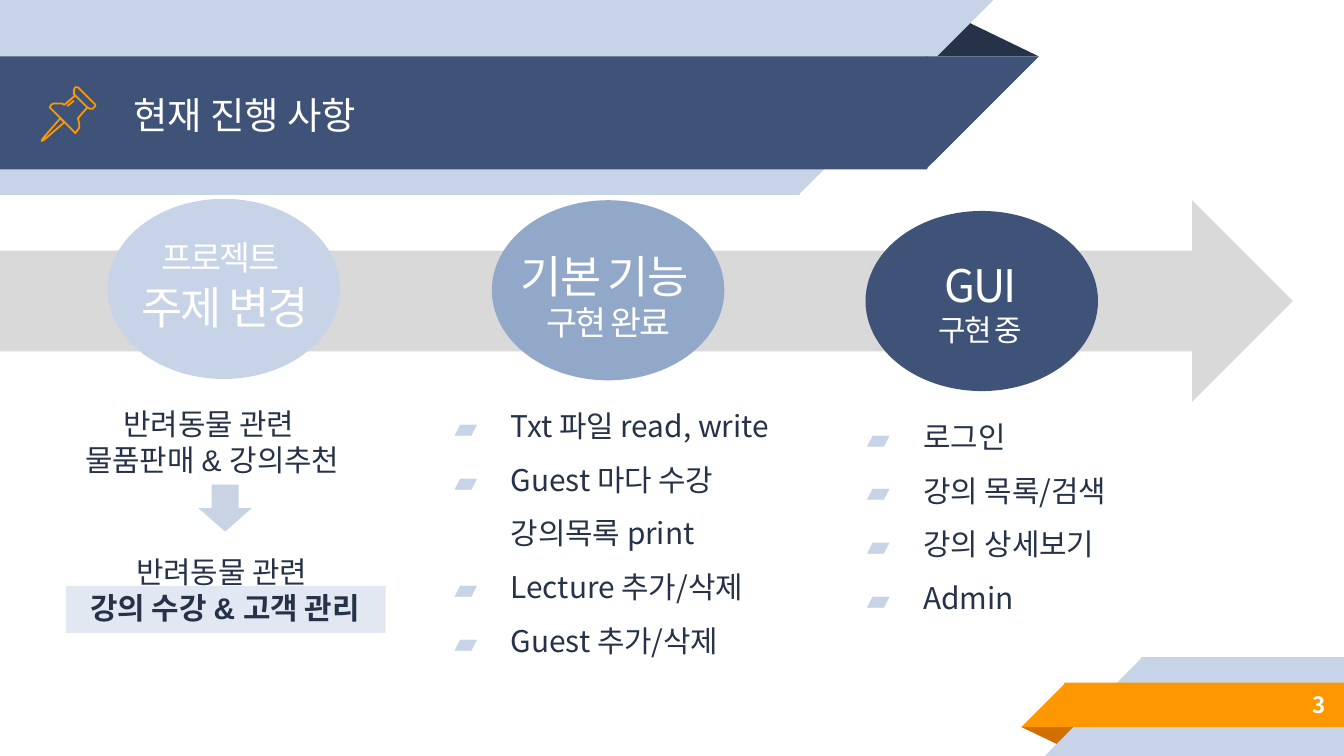
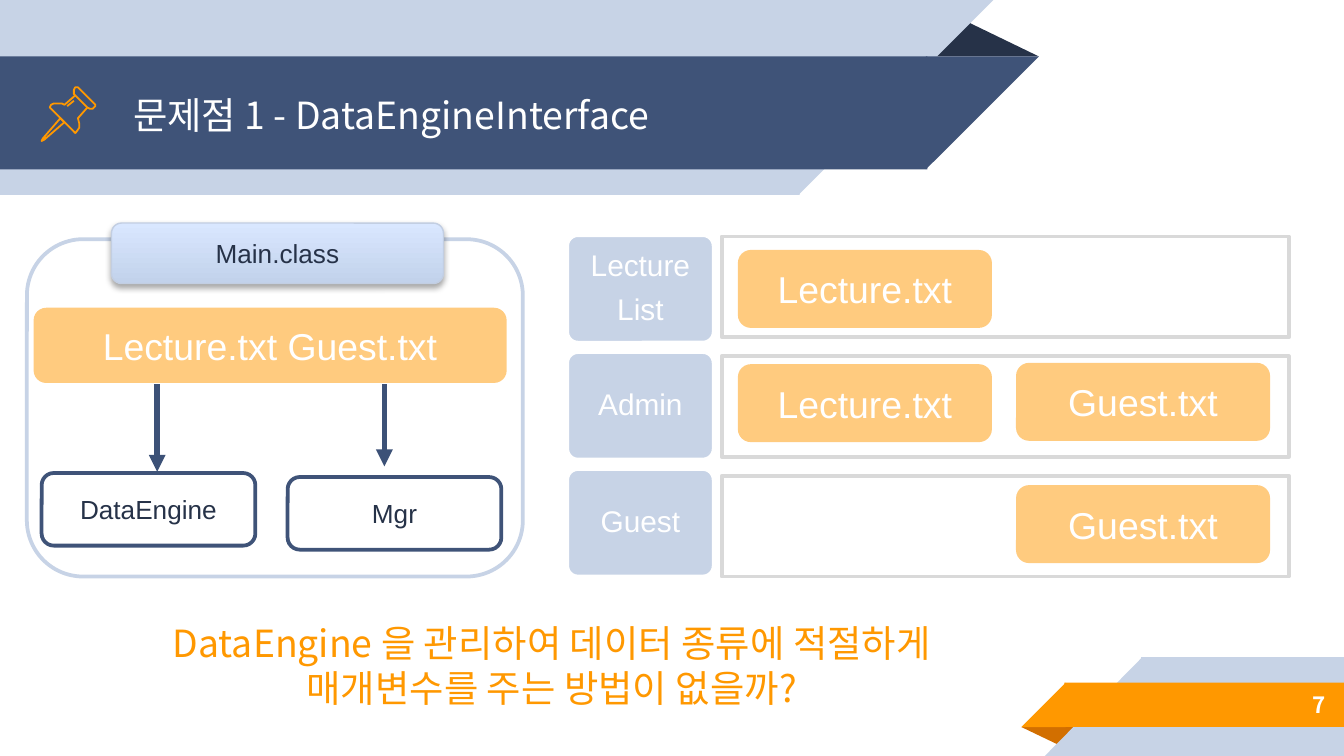
import lxml.etree
import pptx
import pptx.dml.color
import pptx.enum.shapes
import pptx.enum.text
import pptx.oxml
import pptx.oxml.ns
import pptx.util

Inches = pptx.util.Inches
Pt = pptx.util.Pt
SHAPE = pptx.enum.shapes.MSO_SHAPE
ALIGN = pptx.enum.text.PP_ALIGN
ANCHOR = pptx.enum.text.MSO_ANCHOR
qn = pptx.oxml.ns.qn
color = pptx.dml.color.RGBColor.from_string

KOREAN = "Noto Sans CJK KR"
LATIN = "Arial"
NAVY = "3F5378"
INK = "263248"
PALE = "C7D3E6"
STEEL = "92A8C8"
ORANGE = "FF9800"
RUST = "D26F00"
GREY = "D9D9D9"
WHITE = "FFFFFF"


def draw(slide, kind, box, fill=None, line=None, width=2, alpha=None):
    shape = slide.shapes.add_shape(kind, *map(Inches, box))
    shape.shadow.inherit = False
    if fill:
        shape.fill.solid()
        shape.fill.fore_color.rgb = color(fill)
    else:
        shape.fill.background()
    if alpha:
        tint = shape._element.spPr.find(qn("a:solidFill"))[0]
        lxml.etree.SubElement(tint, qn("a:alpha")).set("val", str(alpha * 1000))
    if line:
        shape.line.color.rgb = color(line)
        shape.line.width = Pt(width)
    else:
        shape.line.fill.background()
    return shape


def write(frame, paragraphs, ink, font=KOREAN, align=ALIGN.CENTER, anchor=ANCHOR.MIDDLE,
          inset=(0.1, 0.1), tracking=0, bold=False, leading=None, after=0, bullet=None):
    frame.word_wrap = True
    frame.auto_size = pptx.enum.text.MSO_AUTO_SIZE.NONE
    frame.vertical_anchor = anchor
    frame.margin_left = frame.margin_right = Inches(inset[0])
    frame.margin_top = frame.margin_bottom = Inches(inset[1])
    for index, runs in enumerate(paragraphs):
        paragraph = frame.add_paragraph() if index else frame.paragraphs[0]
        paragraph.alignment = align
        paragraph.line_spacing = leading
        paragraph.space_before = Pt(0)
        paragraph.space_after = Pt(after)
        for text, size in runs:
            run = paragraph.add_run()
            run.text = text
            run.font.size = Pt(size)
            run.font.name = font
            run.font.bold = bold
            run.font.color.rgb = color(ink)
            properties = run._r.get_or_add_rPr()
            lxml.etree.SubElement(properties, qn("a:ea")).set("typeface", KOREAN)
            if tracking:
                properties.set("spc", str(tracking * 100))
        if bullet:
            properties = paragraph._p.get_or_add_pPr()
            properties.set("marL", str(Inches(0.5)))
            properties.set("indent", str(Inches(-0.42)))
            bullet_color = lxml.etree.SubElement(properties, qn("a:buClr"))
            lxml.etree.SubElement(bullet_color, qn("a:srgbClr")).set("val", bullet)
            lxml.etree.SubElement(properties, qn("a:buFont")).set("typeface", KOREAN)
            lxml.etree.SubElement(properties, qn("a:buChar")).set("char", "▰")


deck = pptx.Presentation()
deck.slide_width = Inches(10)
deck.slide_height = deck.slide_width * 9 // 16
progress = deck.slides.add_slide(deck.slide_layouts[3])
problem = deck.slides.add_slide(deck.slide_layouts[5])

bands = [
    (SHAPE.ISOSCELES_TRIANGLE, (7.6, 5.41, 0.43, 0.14), RUST, 180, False),
    (SHAPE.RECTANGLE, (8.49, 4.89, 1.51, 0.74), PALE, 0, False),
    (SHAPE.RIGHT_TRIANGLE, (7.77, 4.89, 0.73, 0.74), PALE, 0, True),
    (SHAPE.RECTANGLE, (7.92, 5.08, 2.08, 0.33), ORANGE, 0, False),
    (SHAPE.RIGHT_TRIANGLE, (7.6, 5.08, 0.33, 0.33), ORANGE, 0, True),
    (SHAPE.ISOSCELES_TRIANGLE, (6.88, 0.14, 0.85, 0.28), INK, 0, False),
    (SHAPE.RECTANGLE, (0, 0, 5.95, 1.45), PALE, 0, False),
    (SHAPE.RIGHT_TRIANGLE, (5.94, 0, 1.45, 1.45), PALE, 180, True),
    (SHAPE.RECTANGLE, (0, 0.42, 6.9, 0.84), NAVY, 0, False),
    (SHAPE.RIGHT_TRIANGLE, (6.89, 0.42, 0.84, 0.84), NAVY, 180, True),
]
for order, (kind, box, fill, turn, mirrored) in enumerate(bands):
    band = draw(progress, kind, box, fill)
    band.rotation = turn
    if kind == SHAPE.ISOSCELES_TRIANGLE:
        band.adjustments[0] = 0.32
    if mirrored:
        band._element.spPr.xfrm.set("flipH", "1")
    band._element.nvSpPr.cNvPr.set("id", str(20 + order))
    deck.slide_master.shapes._spTree.insert(2 + order, band._element)

pin_outlines = [
    ([(45, 88), (32, 103), (31, 105), (33, 104), (48, 91)], True),
    ([(56, 71), (65, 80), (67, 81), (69, 81), (71, 79), (71, 78), (58, 65), (56, 65),
      (55, 67), (55, 70)], True),
    ([(56, 71), (48, 78), (46, 77), (43, 77), (40, 77), (38, 78), (37, 80), (38, 81),
      (55, 98), (56, 99), (57, 98), (59, 95), (59, 92), (58, 88), (65, 80)], False),
    ([(50, 79), (55, 75)], False),
]
for slide, heading, number in [
    (progress, "현재 진행 사항", "3"),
    (problem, "문제점 1 - DataEngineInterface", "7"),
]:
    title = slide.shapes.title
    title.left, title.top, title.width, title.height = map(Inches, (0.89, 0.43, 6.01, 0.84))
    write(title.text_frame, [[(heading, 20)]], WHITE, align=ALIGN.LEFT)
    page = slide.shapes.add_textbox(*map(Inches, (8.33, 5.07, 1.63, 0.35)))
    write(page.text_frame, [[(number, 12)]], WHITE, align=ALIGN.RIGHT, bold=True)
    pin = slide.shapes.add_group_shape()
    for points, closed in pin_outlines:
        builder = pin.shapes.build_freeform(*points[0], scale=Inches(0.01))
        builder.add_line_segments(points[1:], close=closed)
        outline = builder.convert_to_shape()
        outline.shadow.inherit = False
        outline.fill.background()
        outline.line.color.rgb = color(ORANGE)
        outline.line.width = Pt(0.96)

draw(progress, SHAPE.RIGHT_ARROW, (0, 1.49, 9.62, 1.5), GREY)
milestones = [
    (0.8, 1.48, PALE, (0.8, 1.63, 1.75, 0.91),
     [[("프로젝트", 18), (" ", 24)], [("주제 변경", 24)]]),
    (3.66, 1.49, STEEL, (3.46, 1.8, 2.14, 0.81),
     [[("기본 기능 ", 24)], [("구현 완료", 18)]]),
    (6.44, 1.57, NAVY, (6.42, 1.87, 1.75, 0.77),
     [[("GUI", 24)], [("구현 중", 16)]]),
]
for left, top, fill, label_box, lines in milestones:
    draw(progress, SHAPE.OVAL, (left, top, 1.73, 1.34), fill)
    milestone = progress.shapes.add_textbox(*map(Inches, label_box))
    write(milestone.text_frame, lines, WHITE, anchor=ANCHOR.TOP, inset=(0.1, 0.05), tracking=-1)

draw(progress, SHAPE.RECTANGLE, (0.49, 4.36, 2.38, 0.35), PALE, alpha=50)
for box, topic in [
    ((0.41, 2.97, 2.34, 0.64), "물품판매 & 강의추천"),
    ((0.39, 4.07, 2.57, 0.64), "강의 수강 & 고객 관리"),
]:
    theme = progress.shapes.add_textbox(*map(Inches, box))
    write(theme.text_frame, [[("반려동물 관련 ", 16)], [(topic, 16)]], INK, LATIN,
          anchor=ANCHOR.TOP, inset=(0.1, 0.05))
theme.text_frame.paragraphs[1].runs[0].font.bold = True
change = draw(progress, SHAPE.RIGHT_ARROW, (1.5, 3.58, 0.35, 0.4), STEEL, alpha=50)
change.rotation = 90

feature_lists = [
    (1, 3.2, 2.72, ["Txt 파일 read, write", "Guest 마다 수강 강의목록 print",
                    "Lecture 추가/삭제", "Guest 추가/삭제"]),
    (2, 6.27, 2.6, ["로그인", "강의 목록/검색", "강의 상세보기", "Admin"]),
]
for slot, left, top, items in feature_lists:
    features = progress.placeholders[slot]
    features.left, features.top = Inches(left), Inches(top)
    features.width, features.height = Inches(2.75), Inches(2.36)
    write(features.text_frame, [[(item, 16)] for item in items], INK,
          align=ALIGN.LEFT, leading=1.5, bullet=PALE)

draw(problem, SHAPE.ROUNDED_RECTANGLE, (0.2, 1.78, 3.69, 2.51), WHITE, PALE)
main_class = draw(problem, SHAPE.ROUNDED_RECTANGLE, (0.83, 1.66, 2.47, 0.45), PALE, "C2CEE2", 0.75)
main_class.fill.gradient()
main_class.fill.gradient_angle = 90
for stop, tone in zip(main_class.fill.gradient_stops, ("C2D2EB", "D9E7FF")):
    stop.color.rgb = color(tone)
effects = main_class._element.spPr.find(qn("a:effectLst"))
shade = lxml.etree.SubElement(effects, qn("a:outerShdw"))
for key, value in [("blurRad", Pt(3.1)), ("dist", Pt(1.8)), ("dir", 5400000), ("rotWithShape", 0)]:
    shade.set(key, str(int(value)))
shade_color = lxml.etree.SubElement(shade, qn("a:srgbClr"))
shade_color.set("val", "000000")
lxml.etree.SubElement(shade_color, qn("a:alpha")).set("val", "35000")
write(main_class.text_frame, [[("Main.class", 14)]], INK, LATIN)

for left, top, name in [(0.31, 3.52, "DataEngine"), (2.14, 3.55, "Mgr")]:
    receiver = draw(problem, SHAPE.ROUNDED_RECTANGLE, (left, top, 1.59, 0.54), WHITE, NAVY)
    write(receiver.text_frame, [[(name, 14)]], INK, LATIN)

for box, name in [
    ((0.25, 2.29, 3.52, 0.56), "Lecture.txt Guest.txt"),
    ((5.49, 1.86, 1.89, 0.58), "Lecture.txt"),
    ((5.49, 2.71, 1.89, 0.58), "Lecture.txt"),
    ((7.56, 2.7, 1.89, 0.58), "Guest.txt"),
    ((7.56, 3.61, 1.89, 0.58), "Guest.txt"),
]:
    data_file = draw(problem, SHAPE.ROUNDED_RECTANGLE, box, ORANGE, alpha=50)
    write(data_file.text_frame, [[(name, 20)]], WHITE, LATIN)

for x, end in [(1.17, 3.51), (2.86, 3.47)]:
    flow = problem.shapes.add_connector(
        pptx.enum.shapes.MSO_CONNECTOR.STRAIGHT, *map(Inches, (x, 2.86, x, end)))
    flow.line.color.rgb = color("3C5177")
    flow.line.width = Pt(3)
    lxml.etree.SubElement(flow.line._get_or_add_ln(), qn("a:tailEnd")).set("type", "triangle")
    lxml.etree.SubElement(flow._element.spPr, qn("a:effectLst"))

for row, words in enumerate([["Lecture", "List"], ["Admin"], ["Guest"]]):
    owner = draw(problem, SHAPE.ROUNDED_RECTANGLE, (4.22, 1.75 + 0.87 * row, 1.09, 0.8), PALE, WHITE)
    owner.adjustments[0] = 0.1
    write(owner.text_frame, [[(word, 16)] for word in words], WHITE, LATIN,
          inset=(0.07, 0.07), leading=0.9, after=6)
    draw(problem, SHAPE.RECTANGLE, (5.37, 1.76 + 0.89 * row, 4.22, 0.75), line=GREY)

question = problem.shapes.add_textbox(*map(Inches, (1.1, 4.53, 6.01, 0.84)))
write(question.text_frame,
      [[("DataEngine 을 관리하여 데이터 종류에 적절하게 매개변수를 주는 방법이 없을까?", 20)]], ORANGE)

deck.save("out.pptx")
